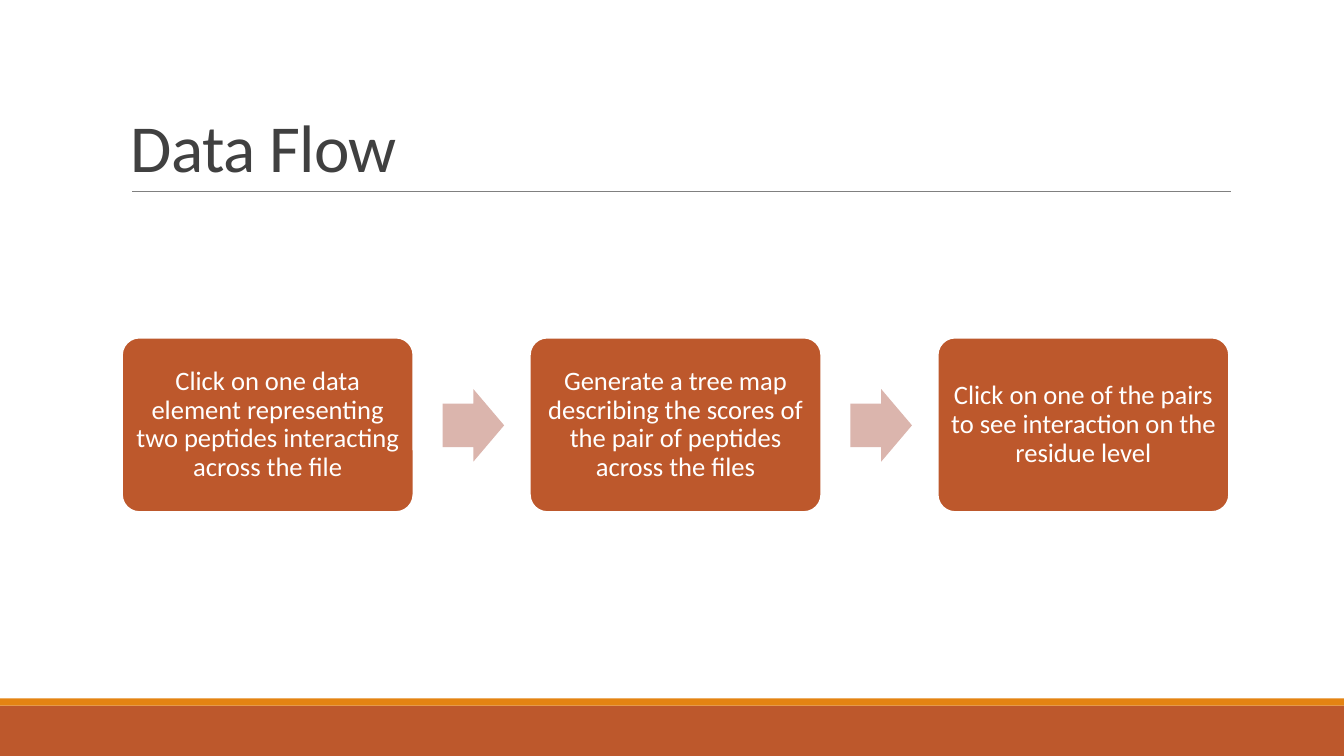
from dataclasses import dataclass

from lxml import etree
from pptx import Presentation
from pptx import util as u
from pptx.dml.color import RGBColor
from pptx.enum import shapes, text
from pptx.oxml.ns import qn


@dataclass(frozen=True)
class Theme:
    """Colours, font and type sizes of the slide."""

    font: str = "Calibri"
    title_size: int = 48
    step_size: int = 19
    title: str = "404040"
    rust: str = "BD582C"
    orange: str = "E48312"
    arrow: str = "DBB5AD"
    rule: str = "808080"
    white: str = "FFFFFF"


THEME = Theme()
STEPS = [
    "Click on one data element representing two peptides interacting across the file",
    "Generate a tree map describing the scores of the pair of peptides across the files",
    "Click on one of the pairs to see interaction on the residue level",
]
STEP_LEFT, STEP_PITCH = 1.21, 4.045
ARROW_OFFSET = 3.18


def inches(*lengths):
    """Convert several lengths to inches."""
    return [u.Inches(length) for length in lengths]


def add_block(slide, kind, box, fill):
    """Add a flat filled shape without outline."""
    shape = slide.shapes.add_shape(kind, *inches(*box))
    shape.shadow.inherit = False
    shape.fill.solid()
    shape.fill.fore_color.rgb = RGBColor.from_string(fill)
    shape.line.fill.background()
    return shape


def write(shape, words, size, color, line_spacing):
    """Write one wrapped paragraph into a shape and return it."""
    shape.text_frame.word_wrap = True
    paragraph = shape.text_frame.paragraphs[0]
    paragraph.text = words
    paragraph.line_spacing = line_spacing
    paragraph.font.name = THEME.font
    paragraph.font.size = u.Pt(size)
    paragraph.font.color.rgb = RGBColor.from_string(color)
    return paragraph


def add_title(slide, words):
    """Add the bottom-anchored title with tightened letters."""
    box = slide.shapes.add_textbox(*inches(1.2, 0.31, 11, 1.59))
    box.text_frame.vertical_anchor = text.MSO_ANCHOR.BOTTOM
    paragraph = write(box, words, THEME.title_size, THEME.title, 0.85)
    paragraph.runs[0]._r.get_or_add_rPr().set("spc", "-50")


def add_rule(slide):
    """Add the thin line below the title."""
    rule = slide.shapes.add_connector(
        shapes.MSO_CONNECTOR.STRAIGHT, *inches(1.31, 1.9, 12.21, 1.9))
    rule.line.color.rgb = RGBColor.from_string(THEME.rule)
    rule.line.width = u.Pt(0.5)
    etree.SubElement(rule._element.spPr, qn("a:effectLst"))


def add_step(slide, left, words):
    """Add a rounded box that holds one step."""
    step = add_block(slide, shapes.MSO_SHAPE.ROUNDED_RECTANGLE,
                     (left, 3.35, 2.89, 1.73), THEME.rust)
    step.adjustments[0] = 0.1
    step.line.color.rgb = RGBColor.from_string(THEME.white)
    step.line.width = u.Pt(1.25)
    frame = step.text_frame
    frame.margin_left = frame.margin_right = u.Inches(0.08)
    frame.margin_top = frame.margin_bottom = u.Inches(0.08)
    frame.vertical_anchor = text.MSO_ANCHOR.MIDDLE
    paragraph = write(step, words, THEME.step_size, THEME.white, 0.9)
    paragraph.alignment = text.PP_ALIGN.CENTER


def add_arrow(slide, left):
    """Add a block arrow between two steps."""
    arrow = add_block(slide, shapes.MSO_SHAPE.RIGHT_ARROW,
                      (left, 3.86, 0.61, 0.72), THEME.arrow)
    arrow.adjustments[0] = 0.6
    arrow.adjustments[1] = 0.5


def main():
    """Build the slide and save it."""
    presentation = Presentation()
    presentation.slide_width, presentation.slide_height = inches(13.33, 7.5)
    slide = presentation.slides.add_slide(presentation.slide_layouts[6])
    rectangle = shapes.MSO_SHAPE.RECTANGLE
    add_block(slide, rectangle, (0, 7, 13.33, 0.5), THEME.rust)
    add_block(slide, rectangle, (0, 6.93, 13.33, 0.07), THEME.orange)
    add_rule(slide)
    add_title(slide, "Data Flow")
    for index, words in enumerate(STEPS):
        left = STEP_LEFT + index * STEP_PITCH
        add_step(slide, left, words)
        if index < len(STEPS) - 1:
            add_arrow(slide, left + ARROW_OFFSET)
    presentation.save("out.pptx")


if __name__ == "__main__":
    main()
